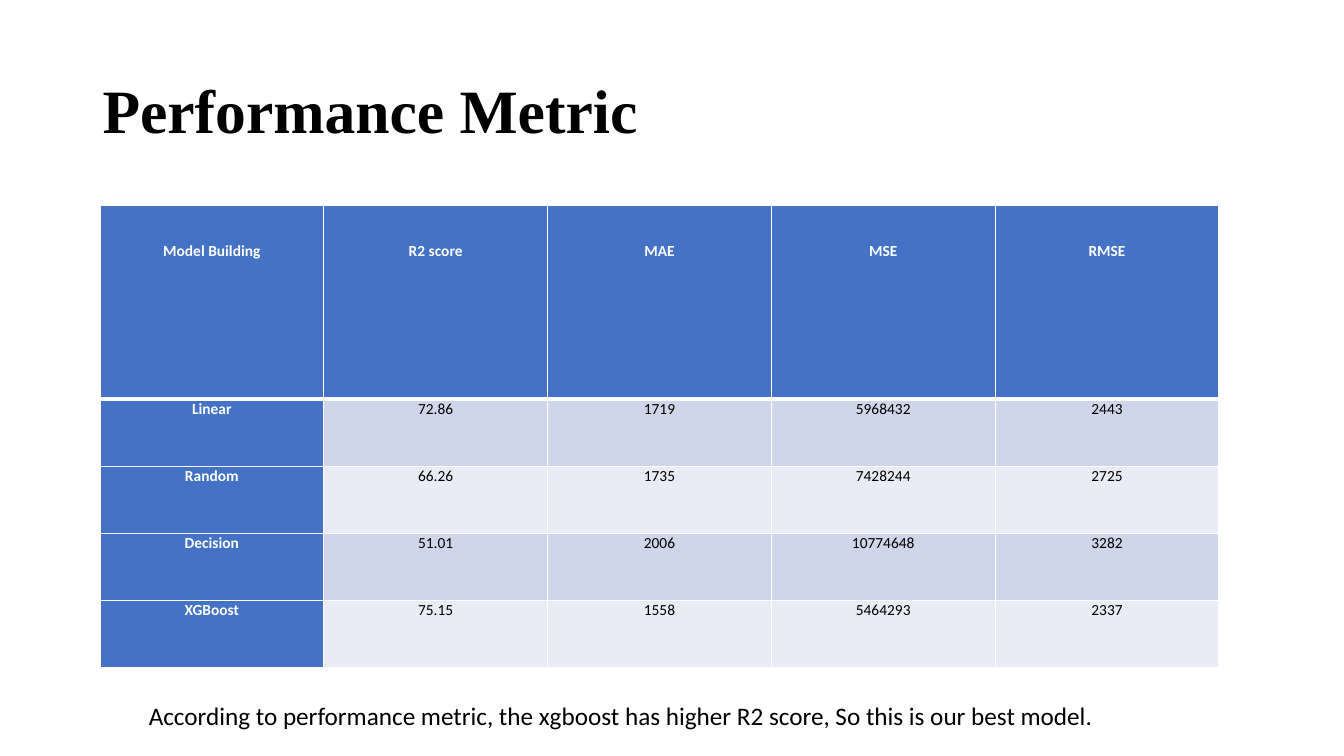
from lxml import etree
from pptx import Presentation
from pptx.dml.color import RGBColor
from pptx.enum.text import MSO_ANCHOR, MSO_AUTO_SIZE, PP_ALIGN
from pptx.oxml.ns import qn
from pptx.util import Cm, Pt

LEFT, CENTER = PP_ALIGN.LEFT, PP_ALIGN.CENTER
MIDDLE, TOP = MSO_ANCHOR.MIDDLE, MSO_ANCHOR.TOP
GROW = MSO_AUTO_SIZE.SHAPE_TO_FIT_TEXT

BLACK = RGBColor(0x00, 0x00, 0x00)
WHITE = RGBColor(0xFF, 0xFF, 0xFF)
BLUE = RGBColor(0x44, 0x72, 0xC4)
DARK = RGBColor(0xCF, 0xD5, 0xEA)
LIGHT = RGBColor(0xE9, 0xEB, 0xF5)

SCORES = [
    ["Model Building", "R2 score", "MAE", "MSE", "RMSE"],
    ["Linear", "72.86", "1719", "5968432", "2443"],
    ["Random", "66.26", "1735", "7428244", "2725"],
    ["Decision", "51.01", "2006", "10774648", "3282"],
    ["XGBoost", "75.15", "1558", "5464293", "2337"],
]


def write(frame, text, font, size, color, bold=False, align=LEFT):
    frame.text = text
    para = frame.paragraphs[0]
    para.alignment = align
    face = para.runs[0].font
    face.name, face.size, face.bold = font, Pt(size), bold
    face.color.rgb = color
    return para


def add_title(slide, text):
    title = slide.shapes.title
    title.left, title.top = Cm(2.33), Cm(1.01)
    title.width, title.height = Cm(29.21), Cm(3.68)
    frame = title.text_frame
    frame.vertical_anchor = MIDDLE
    para = write(frame, text, "Times New Roman", 44, BLACK, True)
    para.line_spacing = 0.9


def add_note(slide, text):
    box = slide.shapes.add_textbox(Cm(3.5), Cm(17.53), Cm(27.5), Cm(1.03))
    frame = box.text_frame
    frame.word_wrap = True
    frame.auto_size = GROW
    write(frame, text, "Calibri", 18, BLACK)


def add_edge(cell, side, width):
    props = cell._tc.get_or_add_tcPr()
    line = etree.Element(qn(f"a:{side}"), w=str(Pt(width)))
    fill = etree.SubElement(line, qn("a:solidFill"))
    etree.SubElement(fill, qn("a:srgbClr"), val=str(WHITE))
    place = len(props.findall("*")) - 1
    props.insert(place, line)


def style_cell(cell, text, row, col):
    head = row == 0
    strong = head or col == 0
    cell.margin_left = cell.margin_right = Cm(0.18)
    cell.margin_top = Cm(0.9 if head else 0)
    cell.margin_bottom = 0
    cell.vertical_anchor = TOP
    para = write(cell.text_frame, text, "Calibri", 11,
                 WHITE if strong else BLACK, strong, CENTER)
    para.space_after = Pt(12)
    cell.fill.solid()
    cell.fill.fore_color.rgb = BLUE if strong else (LIGHT, DARK)[row % 2]
    widths = {"lnL": 1, "lnR": 1, "lnT": 3 if row == 1 else 1,
              "lnB": 3 if head else 1}
    for side, width in widths.items():
        add_edge(cell, side, width)


def add_scores(slide, data):
    shape = slide.shapes.add_table(len(data), len(data[0]),
                                   Cm(2.52), Cm(5.18), Cm(28.2), Cm(11.6))
    table = shape.table
    table.first_col = True
    for col in table.columns:
        col.width = Cm(5.64)
    for r, values in enumerate(data):
        table.rows[r].height = Cm(1.69 if r else 4.88)
        for c, text in enumerate(values):
            style_cell(table.cell(r, c), text, r, c)


def main():
    deck = Presentation()
    deck.slide_width, deck.slide_height = Cm(33.87), Cm(19.05)
    slide = deck.slides.add_slide(deck.slide_layouts[5])
    add_title(slide, "Performance Metric")
    add_note(slide, "According to performance metric, the xgboost has higher "
                    "R2 score, So this is our best model.")
    add_scores(slide, SCORES)
    deck.save("out.pptx")


if __name__ == "__main__":
    main()
